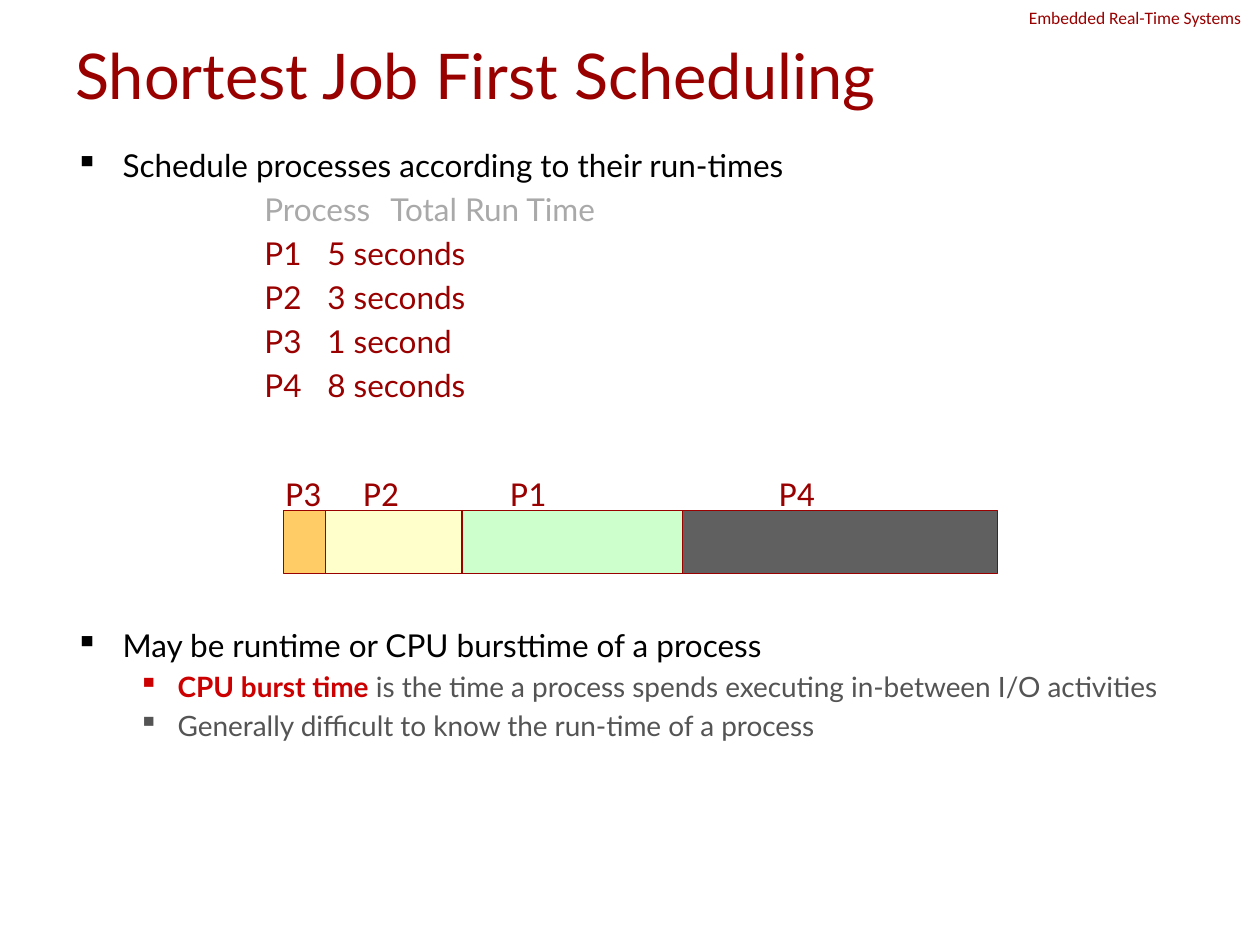
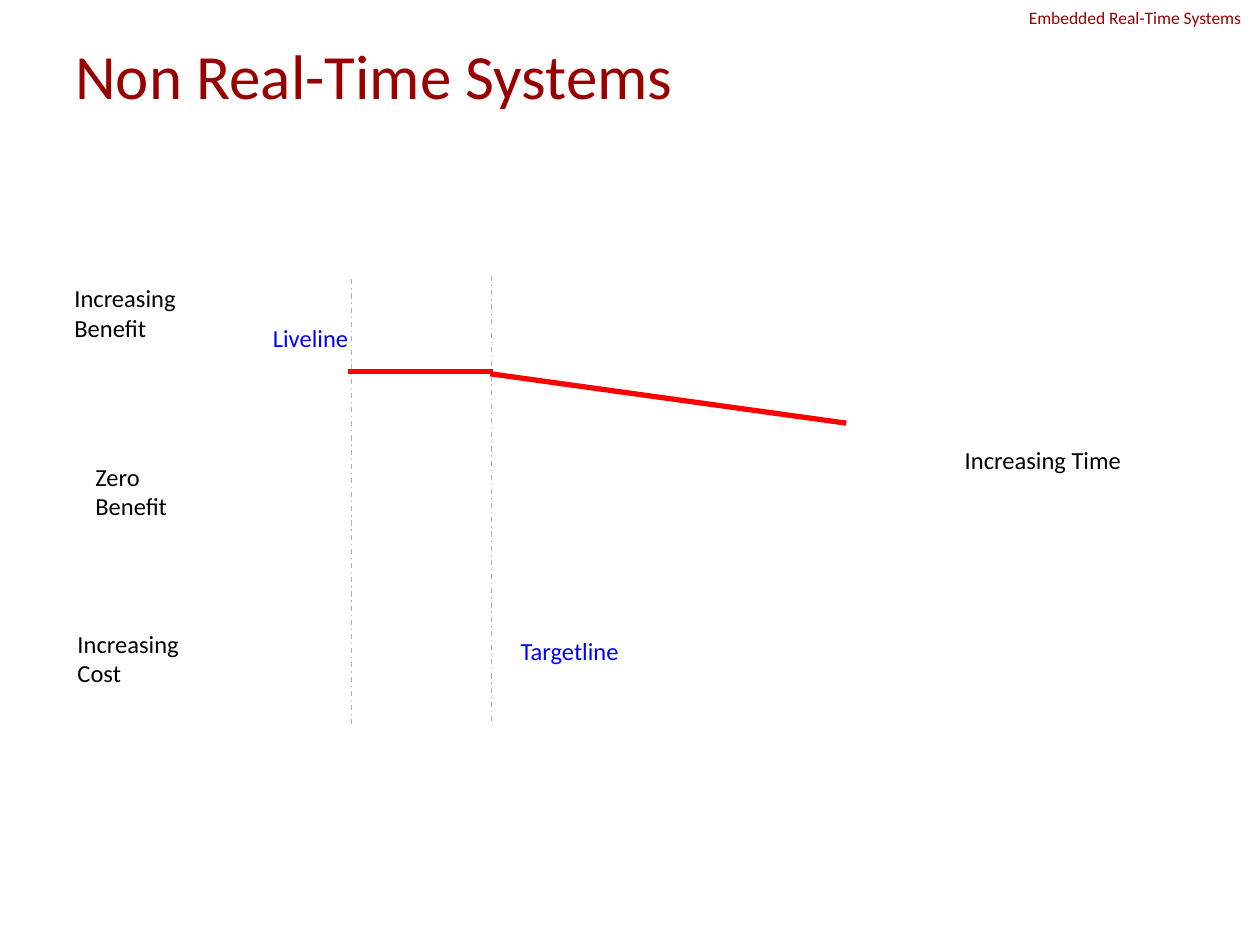
from dataclasses import dataclass

from lxml.etree import SubElement
from pptx import Presentation
from pptx.dml.color import RGBColor
from pptx.enum.dml import MSO_LINE
from pptx.enum.shapes import MSO_CONNECTOR as Connector, MSO_SHAPE as Shape
from pptx.enum.text import MSO_ANCHOR as Anchor
from pptx.oxml.ns import qn
from pptx.util import Inches, Pt

# The slide is a grid of 120 columns by 90 rows
COLUMNS, ROWS = 120, 90
CELL = Inches(10) // COLUMNS


@dataclass(frozen=True)
class Theme:
    maroon: str = "990000"
    black: str = "000000"
    blue: str = "0000FF"
    red: str = "FF0000"
    highlight: str = "CC0000"
    heading: str = "A9A9A9"
    detail: str = "545454"
    guide: str = "AEAEAE"
    font: str = "Calibri"
    body_font: str = "Lato"
    title_size: int = 36
    job_size: int = 20
    body_size: int = 18
    detail_size: int = 16
    label_size: int = 14
    header_size: int = 10
    thin: float = 0.75
    thick: float = 3


THEME = Theme()


def grid(*cells):
    return [round(cell * CELL) for cell in cells]


def rgb(color):
    return RGBColor.from_string(color)


def add_frame(slide, box, wrap=True, anchor=Anchor.TOP):
    frame = slide.shapes.add_textbox(*grid(*box)).text_frame
    frame.word_wrap = wrap
    frame.vertical_anchor = anchor
    return frame


def write(paragraph, text, *, size, color=THEME.black, font=THEME.font, bold=False):
    """Add one formatted run to a paragraph."""
    run = paragraph.add_run()
    run.text = text
    run.font.name = font
    run.font.size = Pt(size)
    run.font.bold = bold
    run.font.color.rgb = rgb(color)


def add_label(slide, lines, box, wrap=False, anchor=Anchor.TOP, **text_format):
    frame = add_frame(slide, box, wrap, anchor)
    for number, line in enumerate(lines.split("\n")):
        paragraph = frame.add_paragraph() if number else frame.paragraphs[0]
        write(paragraph, line, **text_format)


def add_body_line(frame, runs, margin=0, indent=0, before=0, bullet=None, tab=None):
    """Add a paragraph of (text, format) runs; lengths in grid cells."""
    first = frame.paragraphs[0]
    paragraph = frame.add_paragraph() if first.runs else first
    paragraph.space_before = Pt(before)
    for text, text_format in runs:
        write(paragraph, text, font=THEME.body_font, **text_format)
    properties = paragraph._p.get_or_add_pPr()
    properties.set("marL", str(round(margin * CELL)))
    properties.set("indent", str(round(indent * CELL)))
    if bullet:
        SubElement(properties, qn("a:buChar"), char=bullet)
    if tab:
        stops = SubElement(properties, qn("a:tabLst"))
        SubElement(stops, qn("a:tab"), pos=str(round(tab * CELL)), algn="l")


def add_bar(slide, box, fill):
    bar = slide.shapes.add_shape(Shape.RECTANGLE, *grid(*box))
    bar.shadow.inherit = False
    bar.fill.solid()
    bar.fill.fore_color.rgb = rgb(fill)
    bar.line.color.rgb = rgb(THEME.maroon)
    bar.line.width = Pt(THEME.thin)


def add_line(slide, ends, color, width, dash=None):
    line = slide.shapes.add_connector(Connector.STRAIGHT, *grid(*ends))
    line.line.color.rgb = rgb(color)
    line.line.width = Pt(width)
    if dash:
        line.line.dash_style = dash
    SubElement(line._element.spPr, qn("a:effectLst"))


def new_slide(presentation, title, title_font):
    """Start a slide with the running header and the title."""
    slide = presentation.slides.add_slide(presentation.slide_layouts[6])
    add_label(slide, "Embedded Real-Time Systems", (96.8, 0.1, 23.2, 3.2),
              size=THEME.header_size, color=THEME.maroon)
    add_label(slide, title, (6, 3.6, 108, 7), wrap=True, anchor=Anchor.MIDDLE,
              size=THEME.title_size, color=THEME.maroon, font=title_font)
    return slide


def add_scheduling_text(slide):
    frame = add_frame(slide, (6, 13.3, 108, 66.2))
    main = dict(size=THEME.body_size)
    detail = dict(size=THEME.detail_size, color=THEME.detail)
    term = dict(size=THEME.detail_size, color=THEME.highlight, bold=True)
    top_level = dict(margin=4.5, indent=-4.5, bullet="▪")
    sub_level = dict(margin=9.75, indent=-3.75, bullet="▪", before=3.2)

    add_body_line(frame, [("Schedule processes according to their run-times", main)],
                  **top_level)

    # Run times in two tabbed columns
    run_times = [("Process", "Total Run Time"), ("P1", "5 seconds"),
                 ("P2", "3 seconds"), ("P3", "1 second"), ("P4", "8 seconds")]
    for number, row in enumerate(run_times):
        color = THEME.maroon if number else THEME.heading
        add_body_line(frame, [("\t".join(row), dict(main, color=color))],
                      indent=18, tab=33, before=3.6)

    # Notes below the timeline
    add_body_line(frame, [("May be runtime or CPU bursttime of a process", main)],
                  before=126.8, **top_level)
    add_body_line(frame, [
        ("CPU burst time", term),
        (" is the time a process spends executing in-between I/O activities", detail),
    ], **sub_level)
    add_body_line(frame, [
        ("Generally difficult to know the run-time of a process", detail),
    ], **sub_level)


def add_timeline(slide):
    # Job, bar left, bar width, label left, fill; P1 overlaps P4
    jobs = [
        ("P3", 27, 4, 26, "FFCC66"),
        ("P2", 31, 13, 33.4, "FFFFCC"),
        ("P4", 63, 32, 73, "606060"),
        ("P1", 44, 21, 47.4, "CCFFCC"),
    ]
    for job, left, width, label_left, fill in jobs:
        add_bar(slide, (left, 48.6, width, 6), fill)
        add_label(slide, job, (label_left, 44.3, 5.9, 5.2),
                  size=THEME.job_size, color=THEME.maroon)


def add_benefit_diagram(slide):
    # Liveline and targetline guides
    for column, top in ((33.5, 26.6), (46.8, 26.3)):
        add_line(slide, (column, top, column, top + 42.5),
                 THEME.guide, THEME.thin, MSO_LINE.DASH_DOT)

    # Benefit over time
    for ends in ((33.1, 35.4, 47, 35.4), (80.6, 40.3, 46.7, 35.6)):
        add_line(slide, ends, THEME.red, THEME.thick)

    labels = [
        ("Liveline", (24.8, 30.2, 10.2, 4), THEME.blue),
        ("Targetline", (48.4, 60, 12, 4), THEME.blue),
        ("Increasing\nBenefit", (5.9, 26.4, 12.1, 6.8), THEME.black),
        ("Increasing\nCost", (6.2, 59.3, 12.1, 6.8), THEME.black),
        ("Increasing Time", (90.7, 41.8, 17.6, 4), THEME.black),
        ("Zero\nBenefit", (7.9, 43.4, 9.2, 6.8), THEME.black),
    ]
    for text, box, color in labels:
        add_label(slide, text, box, size=THEME.label_size, color=color)


def main():
    presentation = Presentation()
    presentation.slide_width, presentation.slide_height = grid(COLUMNS, ROWS)

    # Shortest job first
    slide = new_slide(presentation, "Shortest Job First Scheduling", THEME.body_font)
    add_scheduling_text(slide)
    add_timeline(slide)

    # Non real-time systems
    slide = new_slide(presentation, "Non Real-Time Systems", THEME.font)
    add_benefit_diagram(slide)

    presentation.save("out.pptx")


if __name__ == "__main__":
    main()
